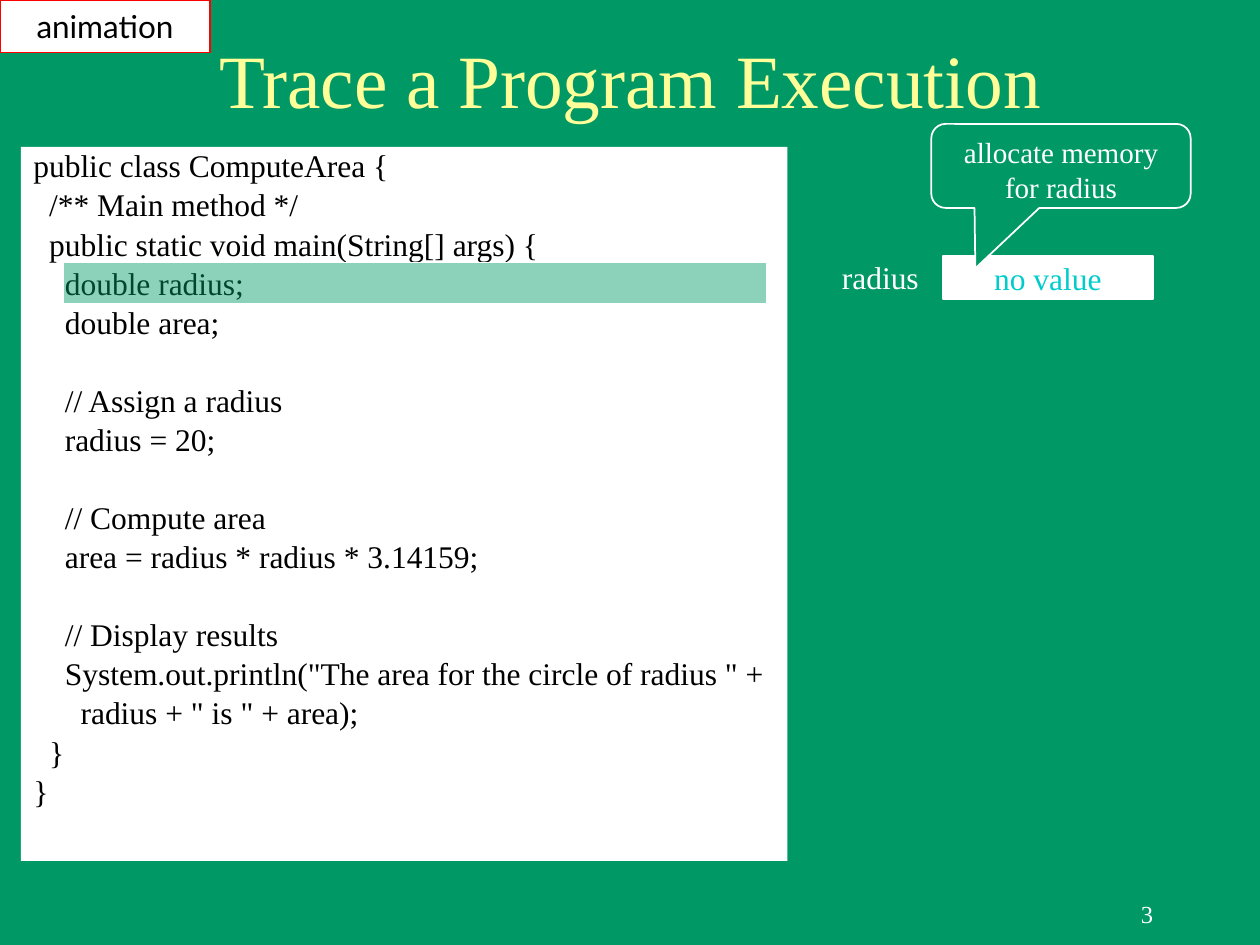
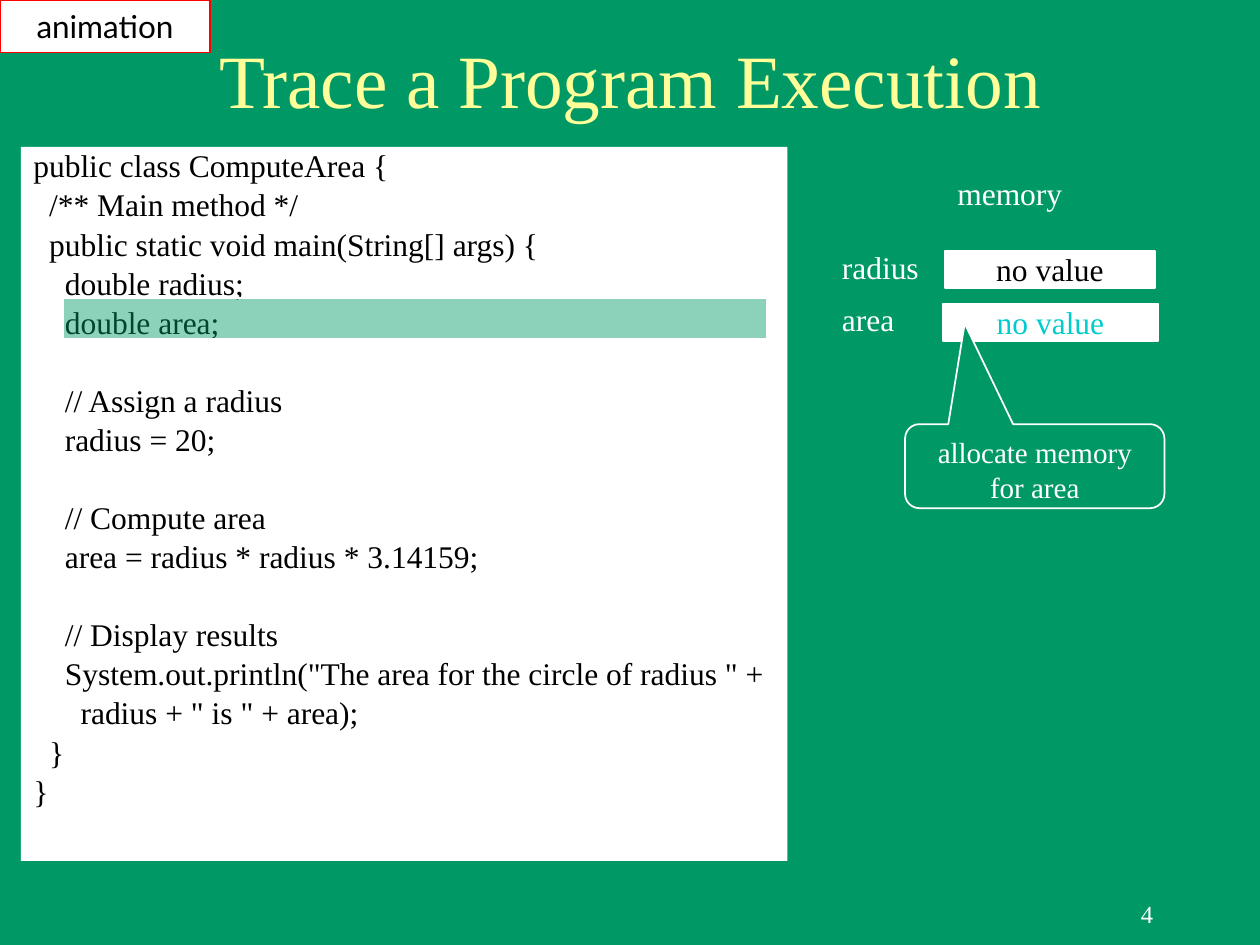
from lxml import etree
from pptx import Presentation
from pptx.dml.color import RGBColor
from pptx.enum.shapes import MSO_SHAPE as Shape
from pptx.enum.text import MSO_ANCHOR as Anchor, PP_ALIGN as Align
from pptx.oxml.ns import qn
from pptx.util import Inches, Pt

COLORS = {
    "green": "009966",
    "yellow": "FFFF99",
    "white": "FFFFFF",
    "black": "000000",
    "red": "FF0000",
    "cyan": "00CCCC",
}
SERIF = "Times New Roman"
SANS = "Lato"

# The grid has 120 columns and 90 rows of square cells.
SLIDE_WIDTH, SLIDE_HEIGHT = Inches(10), Inches(7.5)
CELL = SLIDE_WIDTH / 120

LABEL_LEFT = 79
CALLOUT_SIZE = (24.7, 8)

# Each line: indent level, text. None stands for a gap before the next line.
CODE = [
    (0, "public class ComputeArea {"),
    (1, "/** Main method */"),
    (1, "public static void main(String[] args) {"),
    (2, "double radius;"),
    (2, "double area;"),
    None,
    (2, "// Assign a radius"),
    (2, "radius = 20;"),
    None,
    (2, "// Compute area"),
    (2, "area = radius * radius * 3.14159;"),
    None,
    (2, "// Display results"),
    (2, 'System.out.println("The area for the circle of radius " +'),
    (3, 'radius + " is " + area);'),
    (1, "}"),
    (0, "}"),
]
CODE_INDENT = 1.5
CODE_SPACING = 5.2
CODE_PITCH = 21.8


def cells(*counts):
    return [round(count * CELL) for count in counts]


def color(name):
    return RGBColor.from_string(COLORS[name])


def add_run(paragraph, text, size, ink, font=SERIF):
    run = paragraph.add_run()
    run.text = text
    run.font.name = font
    run.font.size = Pt(size)
    run.font.color.rgb = color(ink)


def add_text(slide, area, text, size=18, ink="white", align=Align.LEFT, anchor=Anchor.TOP):
    box = slide.shapes.add_textbox(*cells(*area))
    frame = box.text_frame
    frame.word_wrap = True
    frame.vertical_anchor = anchor
    frame.paragraphs[0].alignment = align
    add_run(frame.paragraphs[0], text, size, ink)


def add_panel(slide, area, fill, line=None, kind=Shape.RECTANGLE):
    panel = slide.shapes.add_shape(kind, *cells(*area))
    panel.shadow.inherit = False
    panel.fill.solid()
    panel.fill.fore_color.rgb = color(fill)
    if line:
        panel.line.color.rgb = color(line)
        panel.line.width = Pt(1)
    else:
        panel.line.fill.background()
    return panel


def write_centred(panel, text, size, ink, font=SERIF):
    paragraph = panel.text_frame.paragraphs[0]
    paragraph.alignment = Align.CENTER
    add_run(paragraph, text, size, ink, font)


def add_code(slide):
    panel = add_panel(slide, (2, 14, 73, 68), "white")
    frame = panel.text_frame
    frame.vertical_anchor = Anchor.TOP
    paragraph = frame.paragraphs[0]
    spacing = CODE_SPACING
    for line in CODE:
        if line is None:
            spacing += CODE_PITCH
            continue
        level, text = line
        if paragraph.runs:
            paragraph = frame.add_paragraph()
        paragraph.alignment = Align.LEFT
        paragraph.line_spacing = 0.8
        paragraph.space_before = Pt(spacing)
        margin, = cells(level * CODE_INDENT)
        paragraph._p.get_or_add_pPr().set("marL", str(margin))
        add_run(paragraph, text, 18, "black")
        spacing = CODE_SPACING


def highlight_code_line(slide, row):
    """Lay a translucent bar over the code line with this index."""
    bar = add_panel(slide, (6, 14.8 + 3.4 * row, 67, 3.9), "green", "white")
    fill_color = bar._element.spPr.find(qn("a:solidFill")).find(qn("a:srgbClr"))
    etree.SubElement(fill_color, qn("a:alpha")).set("val", "45000")


def add_variable(slide, name, label_top, cell_area, ink):
    """Show a variable's name beside its memory cell."""
    memory_cell = add_panel(slide, cell_area, "white", "white")
    frame = memory_cell.text_frame
    frame.word_wrap = False
    frame.margin_left = frame.margin_right = Inches(0.01)
    frame.margin_top = frame.margin_bottom = Inches(0.01)
    write_centred(memory_cell, "no value", 18, ink)
    add_text(slide, (LABEL_LEFT, label_top, 11, 4.8), name)


def add_callout(slide, left, top, text, pointer):
    callout = add_panel(slide, (left, top, *CALLOUT_SIZE), "green", "white",
                        Shape.ROUNDED_RECTANGULAR_CALLOUT)
    for index, value in enumerate((*pointer, 0.17)):
        callout.adjustments[index] = value
    callout.text_frame.vertical_anchor = Anchor.TOP
    callout.text_frame.word_wrap = True
    write_centred(callout, text, 16.6, "white")


def add_animation_tag(slide):
    tag = add_panel(slide, (0, 0, 20, 5), "white", "red")
    tag.text_frame.word_wrap = False
    write_centred(tag, "animation", 18, "black", SANS)


def add_trace_slide(presentation, number):
    slide = presentation.slides.add_slide(presentation.slide_layouts[6])
    add_text(slide, (86, 84, 25, 6), str(number), 14, align=Align.RIGHT, anchor=Anchor.MIDDLE)
    add_text(slide, (9, 4, 102, 7), "Trace a Program Execution", 43, "yellow",
             Align.CENTER, Anchor.MIDDLE)
    add_code(slide)
    add_animation_tag(slide)
    return slide


def add_radius_slide(presentation):
    slide = add_trace_slide(presentation, 3)
    add_variable(slide, "radius", 24, (89.8, 24.4, 20, 4.1), "cyan")
    highlight_code_line(slide, 3)
    add_callout(slide, 88.7, 11.8, "allocate memory for radius", (-0.33, 1.22))


def add_area_slide(presentation):
    slide = add_trace_slide(presentation, 4)
    add_text(slide, (90, 16, 19, 4.8), "memory")
    add_variable(slide, "radius", 23, (90, 23.9, 20, 3.5), "black")
    highlight_code_line(slide, 4)
    add_variable(slide, "area", 28, (89.8, 28.9, 20.5, 3.6), "cyan")
    add_callout(slide, 86.2, 40.4, "allocate memory for area", (-0.27, -1.7))


def main():
    presentation = Presentation()
    presentation.slide_width, presentation.slide_height = SLIDE_WIDTH, SLIDE_HEIGHT
    background = presentation.slide_master.background.fill
    background.solid()
    background.fore_color.rgb = color("green")
    add_radius_slide(presentation)
    add_area_slide(presentation)
    presentation.save("out.pptx")


if __name__ == "__main__":
    main()
